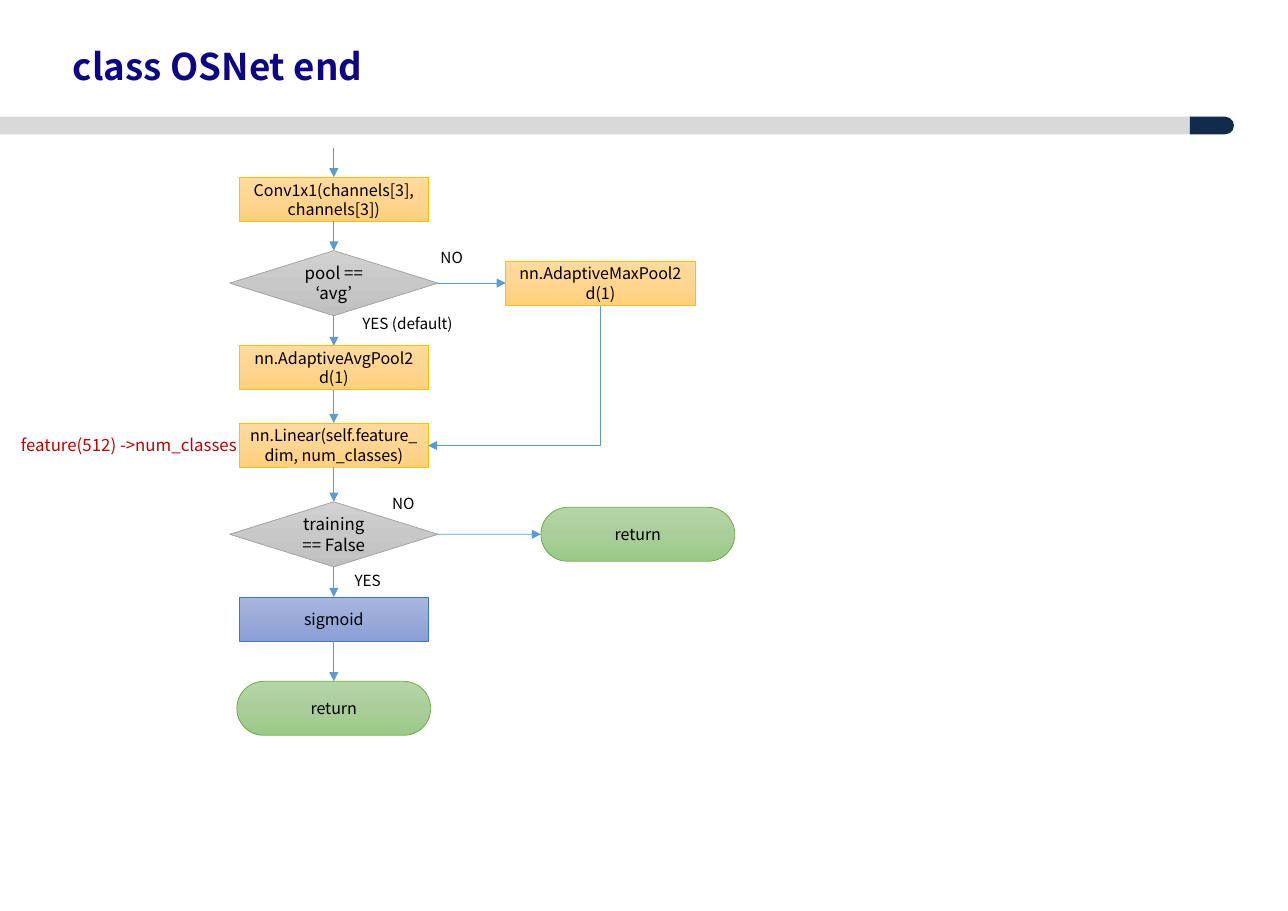
from copy import deepcopy
from dataclasses import dataclass

from lxml import etree
from pptx import Presentation
from pptx import util as u
from pptx.dml.color import RGBColor
from pptx.enum import shapes, text
from pptx.oxml.ns import qn

FONT = "Noto Sans CJK KR"
COLORS = {
    "title": "0E0585", "bar": "D9D9D9", "tab": "102B4C",
    "text": "000000", "note": "C00000", "arrow": "5B9BD5",
}
TOP, LEFT, BOTTOM, RIGHT = range(4)
MAIN_X = 3.03


@dataclass
class Style:
    preset: shapes.MSO_SHAPE
    width: float
    height: float
    gradient: tuple[str, str, str]
    line: str
    size: float = 10.5


@dataclass
class Node:
    name: str
    style: str
    words: str
    y: float
    x: float = MAIN_X


@dataclass
class Link:
    start: str
    end: str
    start_side: int = BOTTOM
    end_side: int = TOP


@dataclass
class Label:
    words: str
    left: float
    top: float
    width: float
    height: float = 0.27
    size: float = 10
    color: str = "text"


ORANGE = ("FFDB9E", "FFD590", "FFD07C")
STYLES = {
    "layer": Style(shapes.MSO_SHAPE.RECTANGLE, 1.72, 0.4, ORANGE, "FFC000"),
    "activation": Style(shapes.MSO_SHAPE.RECTANGLE, 1.72, 0.4,
                        ("A8B7DF", "9AABD9", "889ED7"), "4472C4"),
    "decision": Style(shapes.MSO_SHAPE.FLOWCHART_DECISION, 1.89, 0.59,
                      ("D2D2D2", "C8C8C8", "C0C0C0"), "A5A5A5", 11),
    "terminal": Style(shapes.MSO_SHAPE.ROUNDED_RECTANGLE, 1.76, 0.49,
                      ("B5D5A7", "AACE9A", "9CC987"), "70AD47"),
}
NODES = [
    Node("conv", "layer", "Conv1x1(channels[3], channels[3])", 1.81),
    Node("pool", "decision", "pool == ‘avg’", 2.57),
    Node("max", "layer", "nn.AdaptiveMaxPool2d(1)", 2.57, 5.45),
    Node("avg", "layer", "nn.AdaptiveAvgPool2d(1)", 3.34),
    Node("linear", "layer", "nn.Linear(self.feature_dim, num_classes)", 4.04),
    Node("training", "decision", "training == False", 4.85),
    Node("sigmoid", "activation", "sigmoid", 5.62),
    Node("return", "terminal", "return", 6.43),
    Node("early return", "terminal", "return", 4.85, 5.79),
]
LINKS = [
    Link("conv", "pool"), Link("pool", "avg"), Link("avg", "linear"),
    Link("linear", "training"), Link("training", "sigmoid"),
    Link("sigmoid", "return"),
    Link("pool", "max", RIGHT, LEFT),
    Link("training", "early return", RIGHT, LEFT),
]
LABELS = [
    Label("NO", 3.9, 2.2, 0.54),
    Label("YES (default)", 3.19, 2.8, 1.05),
    Label("feature(512) ->num_classes", 0.09, 3.9, 2.39, 0.29, 11, "note"),
    Label("YES", 3.12, 5.14, 0.54),
    Label("NO", 3.46, 4.44, 0.54),
]


def rgb(value: str) -> RGBColor:
    return RGBColor.from_string(value)


def write(shape, words: str, *, size: float, color: str = "text",
          bold: bool = False, align=text.PP_ALIGN.CENTER,
          anchor=text.MSO_ANCHOR.MIDDLE, wrap: bool = True) -> None:
    frame = shape.text_frame
    frame.auto_size = text.MSO_AUTO_SIZE.NONE
    frame.word_wrap = wrap
    frame.vertical_anchor = anchor
    paragraph = frame.paragraphs[0]
    paragraph.alignment = align
    run = paragraph.add_run()
    run.text = words
    run.font.name = FONT
    run.font.size = u.Pt(size)
    run.font.bold = bold
    run.font.color.rgb = rgb(COLORS[color])


def add_band(slide, preset, left: float, top: float, width: float,
             height: float, color: str):
    band = slide.shapes.add_shape(preset, *map(u.Inches, (left, top, width, height)))
    band.shadow.inherit = False
    band.fill.solid()
    band.fill.fore_color.rgb = rgb(COLORS[color])
    band.line.fill.background()
    return band


def add_node(slide, node: Node):
    style = STYLES[node.style]
    shape = slide.shapes.add_shape(
        style.preset, u.Inches(node.x - style.width / 2),
        u.Inches(node.y - style.height / 2),
        u.Inches(style.width), u.Inches(style.height))
    shape.shadow.inherit = False
    if style.preset == shapes.MSO_SHAPE.ROUNDED_RECTANGLE:
        shape.adjustments[0] = 0.5
    # Three-stop gradient running downwards
    shape.fill.gradient()
    shape.fill.gradient_angle = 270
    stop_list = shape._element.spPr.find(".//" + qn("a:gsLst"))
    stop_list.insert(1, deepcopy(stop_list[0]))
    for i, (stop, color) in enumerate(zip(shape.fill.gradient_stops, style.gradient)):
        stop.position = i / 2
        stop.color.rgb = rgb(color)
    shape.line.color.rgb = rgb(style.line)
    shape.line.width = u.Pt(0.5)
    write(shape, node.words, size=style.size)
    return shape


def add_arrow(slide, kind=shapes.MSO_CONNECTOR.STRAIGHT, start=(0, 0), end=(0, 0)):
    arrow = slide.shapes.add_connector(kind, *map(u.Inches, (*start, *end)))
    arrow.line.color.rgb = rgb(COLORS["arrow"])
    arrow.line.width = u.Pt(0.5)
    etree.SubElement(arrow.line._get_or_add_ln(), qn("a:tailEnd"), type="triangle")
    etree.SubElement(arrow._element.spPr, qn("a:effectLst"))
    return arrow


def join(arrow, drawn: dict, link: Link) -> None:
    arrow.begin_connect(drawn[link.start], link.start_side)
    arrow.end_connect(drawn[link.end], link.end_side)


def main() -> None:
    presentation = Presentation()
    presentation.slide_width = u.Inches(11.69)
    presentation.slide_height = u.Inches(8.27)
    slide = presentation.slides.add_slide(presentation.slide_layouts[5])

    # Title and header band
    title = slide.shapes.title
    title.left, title.top, title.width, title.height = map(
        u.Inches, (0.55, 0.34, 2.85, 0.51))
    write(title, "class OSNet end", size=24, color="title", bold=True, wrap=False)
    add_band(slide, shapes.MSO_SHAPE.RECTANGLE, 0, 1.06, 10.8, 0.16, "bar")
    tab = add_band(slide, shapes.MSO_SHAPE.ROUND_2_SAME_RECTANGLE,
                   10.92, 0.94, 0.16, 0.4, "tab")
    tab.adjustments[0] = 0.5
    tab.rotation = 90

    # Flowchart nodes and straight arrows
    drawn = {node.name: add_node(slide, node) for node in NODES}
    entry = add_arrow(slide, start=(MAIN_X, 1.34), end=(MAIN_X, 1.61))
    entry.end_connect(drawn["conv"], TOP)
    for link in LINKS:
        join(add_arrow(slide), drawn, link)

    # Elbow from max pooling down and left to the linear layer
    elbow = add_arrow(slide, shapes.MSO_CONNECTOR.ELBOW)
    join(elbow, drawn, Link("max", "linear", BOTTOM, RIGHT))
    elbow._element.spPr.find(qn("a:prstGeom")).set("prst", "bentConnector2")
    transform = elbow._element.spPr.find(qn("a:xfrm"))
    transform.attrib.pop("flipH", None)
    transform.set("rot", "5400000")
    elbow.left, elbow.top, elbow.width, elbow.height = map(
        u.Inches, (4.03, 2.63, 1.27, 1.56))

    # Branch labels and feature note
    for label in LABELS:
        box = slide.shapes.add_textbox(*map(
            u.Inches, (label.left, label.top, label.width, label.height)))
        write(box, label.words, size=label.size, color=label.color,
              align=text.PP_ALIGN.LEFT, anchor=text.MSO_ANCHOR.TOP)

    presentation.save("out.pptx")


if __name__ == "__main__":
    main()
